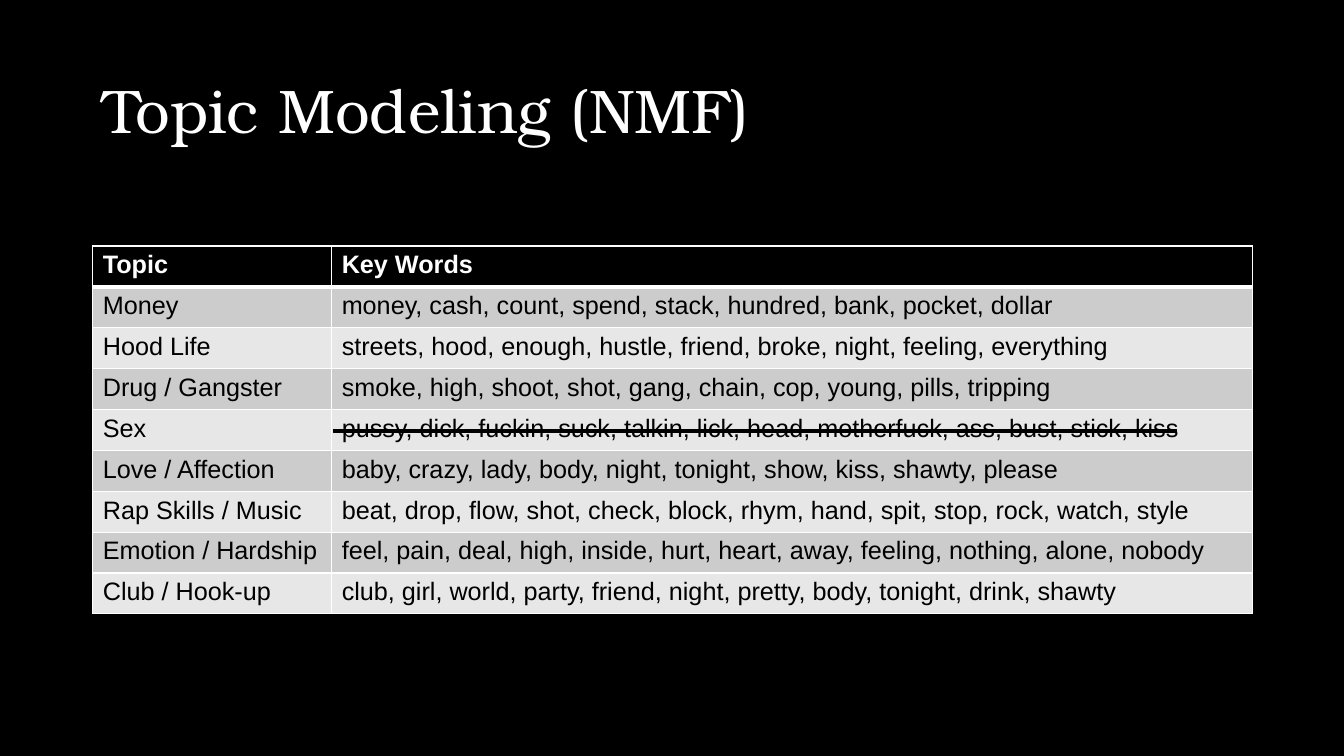
from lxml import etree
from pptx import Presentation
from pptx import util as u
from pptx.dml.color import RGBColor
from pptx.enum import shapes, text
from pptx.oxml import ns

BLACK = RGBColor(0x00, 0x00, 0x00)
WHITE = RGBColor(0xFF, 0xFF, 0xFF)
DARK_BAND = RGBColor(0xCC, 0xCC, 0xCC)
LIGHT_BAND = RGBColor(0xE7, 0xE7, 0xE7)

TOPICS = [
    ("Topic", "Key Words"),
    ("Money", "money, cash, count, spend, stack, hundred, bank, pocket, dollar"),
    ("Hood Life", "streets, hood, enough, hustle, friend, broke, night, feeling, everything"),
    ("Drug / Gangster", "smoke, high, shoot, shot, gang, chain, cop, young, pills, tripping"),
    ("Sex", "pussy, dick, fuckin, suck, talkin, lick, head, motherfuck, ass, bust, stick, kiss"),
    ("Love / Affection", "baby, crazy, lady, body, night, tonight, show, kiss, shawty, please"),
    ("Rap Skills / Music", "beat, drop, flow, shot, check, block, rhym, hand, spit, stop, rock, watch, style"),
    ("Emotion / Hardship", "feel, pain, deal, high, inside, hurt, heart, away, feeling, nothing, alone, nobody"),
    ("Club / Hook-up", "club, girl, world, party, friend, night, pretty, body, tonight, drink, shawty"),
]


def style_font(font, name, size, color, bold=False):
    font.name = name
    font.size = u.Pt(size)
    font.color.rgb = color
    font.bold = bold


def add_border(cell, side, points):
    line = etree.SubElement(cell._tc.get_or_add_tcPr(), ns.qn(f"a:ln{side}"), w=str(u.Pt(points)))
    fill = etree.SubElement(line, ns.qn("a:solidFill"))
    etree.SubElement(fill, ns.qn("a:srgbClr"), val=str(WHITE))


prs = Presentation()
prs.slide_width = u.Inches(13.33)
prs.slide_height = u.Inches(7.5)
slide = prs.slides.add_slide(prs.slide_layouts[5])
slide.background.fill.solid()
slide.background.fill.fore_color.rgb = BLACK

# Title
title = slide.shapes.title
title.left, title.top = u.Inches(0.92), u.Inches(0.4)
title.width, title.height = u.Inches(11.5), u.Inches(1.45)
title.text_frame.text = "Topic Modeling (NMF)"
title.text_frame.vertical_anchor = text.MSO_ANCHOR.MIDDLE
heading = title.text_frame.paragraphs[0]
heading.alignment = text.PP_ALIGN.LEFT
heading.line_spacing = 0.9
style_font(heading.runs[0].font, "TeX Gyre Bonum", 44, WHITE)

# Topics and their key words
topic_table = slide.shapes.add_table(
    len(TOPICS), 2, u.Inches(0.92), u.Inches(2.44), u.Inches(11.5), u.Inches(3.65)
).table
topic_table.columns[0].width = u.Inches(2.37)
topic_table.columns[1].width = u.Inches(9.13)
for row, entry in enumerate(TOPICS):
    is_header = row == 0
    band = BLACK if is_header else DARK_BAND if row % 2 else LIGHT_BAND
    for col, words in enumerate(entry):
        cell = topic_table.cell(row, col)
        cell.text_frame.text = words
        style_font(cell.text_frame.paragraphs[0].runs[0].font, "Arial", 18,
                   WHITE if is_header else BLACK, is_header)
        # The rule under the header is thicker
        for side in "LRTB":
            under_header = (row, side) in ((0, "B"), (1, "T"))
            add_border(cell, side, 3 if under_header else 1)
        cell.fill.solid()
        cell.fill.fore_color.rgb = band

# Bar striking out one row of key words
strike = slide.shapes.add_shape(
    shapes.MSO_SHAPE.RECTANGLE, u.Inches(3.31), u.Inches(4.26), u.Inches(8.36), u.Inches(0.03)
)
strike.shadow.inherit = False
strike.fill.solid()
strike.fill.fore_color.rgb = BLACK
strike.line.color.rgb = BLACK
strike.line.width = u.Pt(1)

prs.save("out.pptx")
